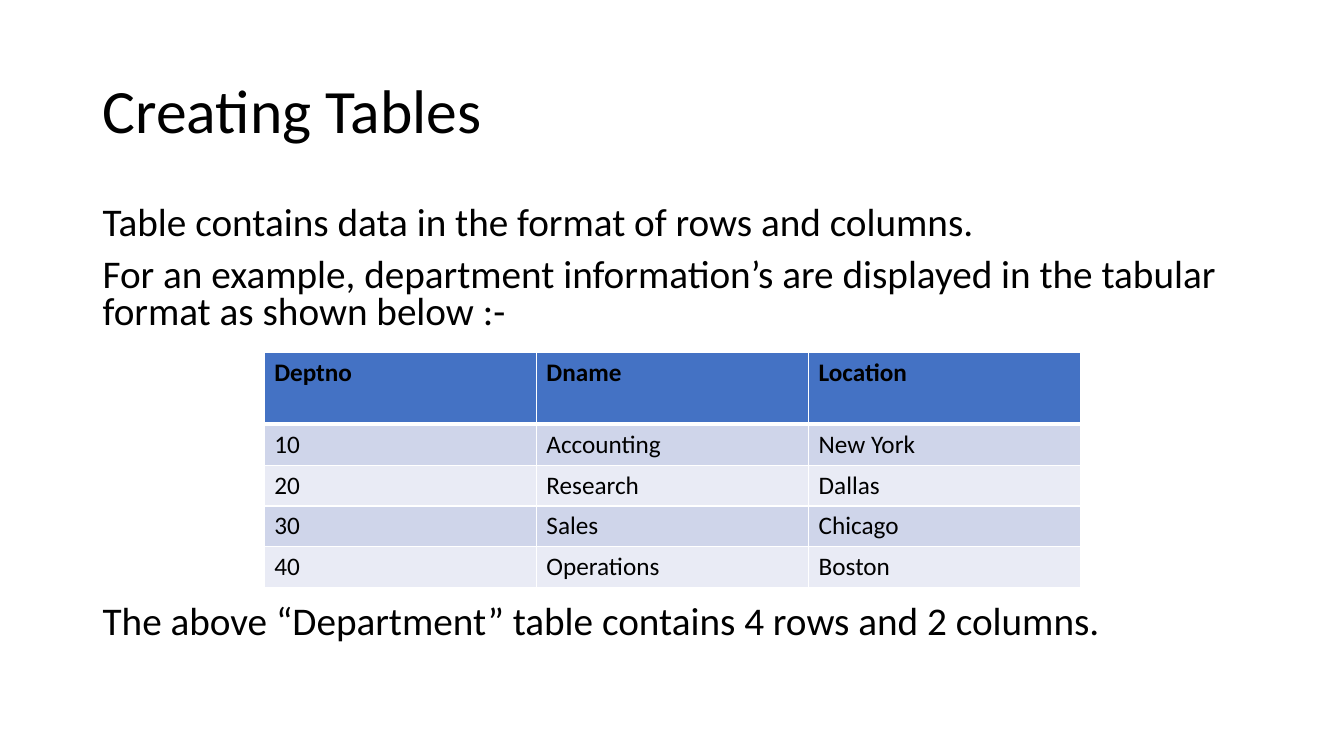
from lxml import etree
from pptx import Presentation
from pptx.dml.color import RGBColor
from pptx.enum import text
from pptx.oxml import ns
from pptx.util import Inches, Pt

FONT = "Calibri"
COLORS = {"text": "000000", "border": "FFFFFF", "header": "4472C4",
          "odd": "CFD5EA", "even": "E9EBF5"}
DEPARTMENTS = [
    ("Deptno", "Dname", "Location"),
    ("10", "Accounting", "New York"),
    ("20", "Research", "Dallas"),
    ("30", "Sales", "Chicago"),
    ("40", "Operations", "Boston"),
]
HEADER_HEIGHT = 0.71


def write(p, content, size=18, bold=False, line=None, before=None):
    p.line_spacing = line
    if before is not None:
        p.space_before = Pt(before)
    r = p.add_run()
    r.text = content
    r.font.name = FONT
    r.font.size = Pt(size)
    r.font.bold = bold
    r.font.color.rgb = RGBColor.from_string(COLORS["text"])


def add_text(s, box, paragraphs, anchor=text.MSO_ANCHOR.TOP, **style):
    tf = s.shapes.add_textbox(*map(Inches, box)).text_frame
    tf.word_wrap = True
    tf.vertical_anchor = anchor
    for i, content in enumerate(paragraphs):
        write(tf.add_paragraph() if i else tf.paragraphs[0], content, **style)


def set_borders(cell, **widths):
    """Draw the cell's sides (L, R, T, B) at the given widths in points."""
    tc_pr = cell._tc.get_or_add_tcPr()
    for side, width in widths.items():
        ln = etree.SubElement(tc_pr, ns.qn(f"a:ln{side}"), w=str(Pt(width)))
        fill = etree.SubElement(ln, ns.qn("a:solidFill"))
        etree.SubElement(fill, ns.qn("a:srgbClr"), val=COLORS["border"])


def add_department_table(s, box):
    rows, cols = len(DEPARTMENTS), len(DEPARTMENTS[0])
    table = s.shapes.add_table(rows, cols, *map(Inches, box)).table
    row_height = (box[3] - HEADER_HEIGHT) / (rows - 1)
    for i, values in enumerate(DEPARTMENTS):
        table.rows[i].height = Inches(row_height if i else HEADER_HEIGHT)
        shade = ("odd" if i % 2 else "even") if i else "header"
        for j, value in enumerate(values):
            cell = table.cell(i, j)
            set_borders(cell, L=1, R=1, T=3 if i == 1 else 1, B=1 if i else 3)
            cell.fill.solid()
            cell.fill.fore_color.rgb = RGBColor.from_string(COLORS[shade])
            write(cell.text_frame.paragraphs[0], value, bold=i == 0)


def add_table_slide(prs):
    s = prs.slides.add_slide(prs.slide_layouts[6])
    left, width = 0.92, 11.5
    body = {"size": 28, "line": 0.8, "before": 10}
    add_text(s, (left, 0.4, width, 1.45), ["Creating Tables"],
             anchor=text.MSO_ANCHOR.MIDDLE, size=44, line=0.9)
    add_text(s, (left, 2, width, 1.4), [
        "Table contains data in the format of rows and columns.",
        "For an example, department information’s are displayed in the "
        "tabular format as shown below :-",
    ], **body)
    add_department_table(s, (2.62, 3.5, 8.1, 2.33))
    add_text(s, (left, 5.96, width, 0.6), [
        "The above “Department” table contains 4 rows and 2 columns.",
    ], **body)


def main():
    prs = Presentation()
    prs.slide_width, prs.slide_height = Inches(13.33), Inches(7.5)
    add_table_slide(prs)
    prs.save("out.pptx")


if __name__ == "__main__":
    main()
